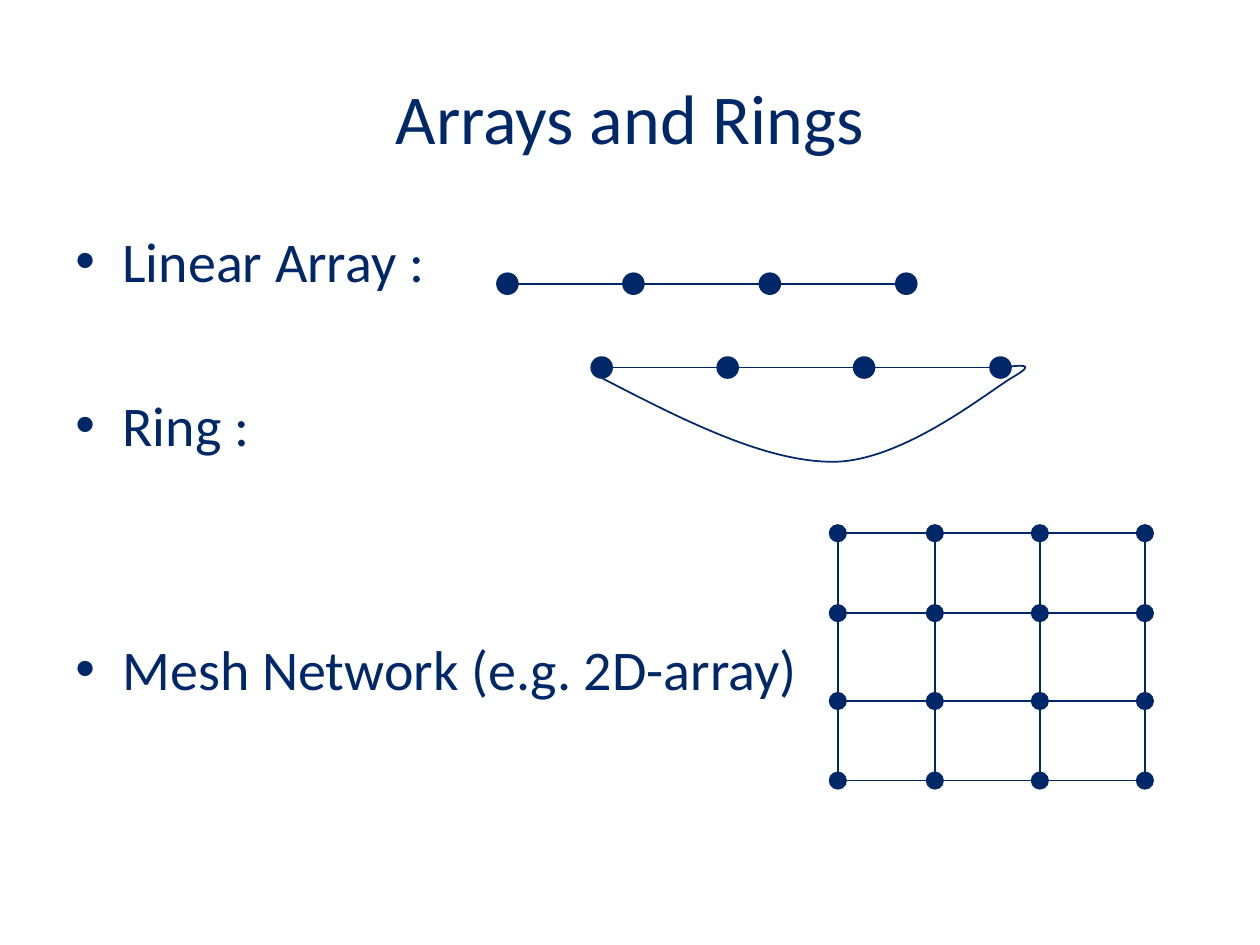
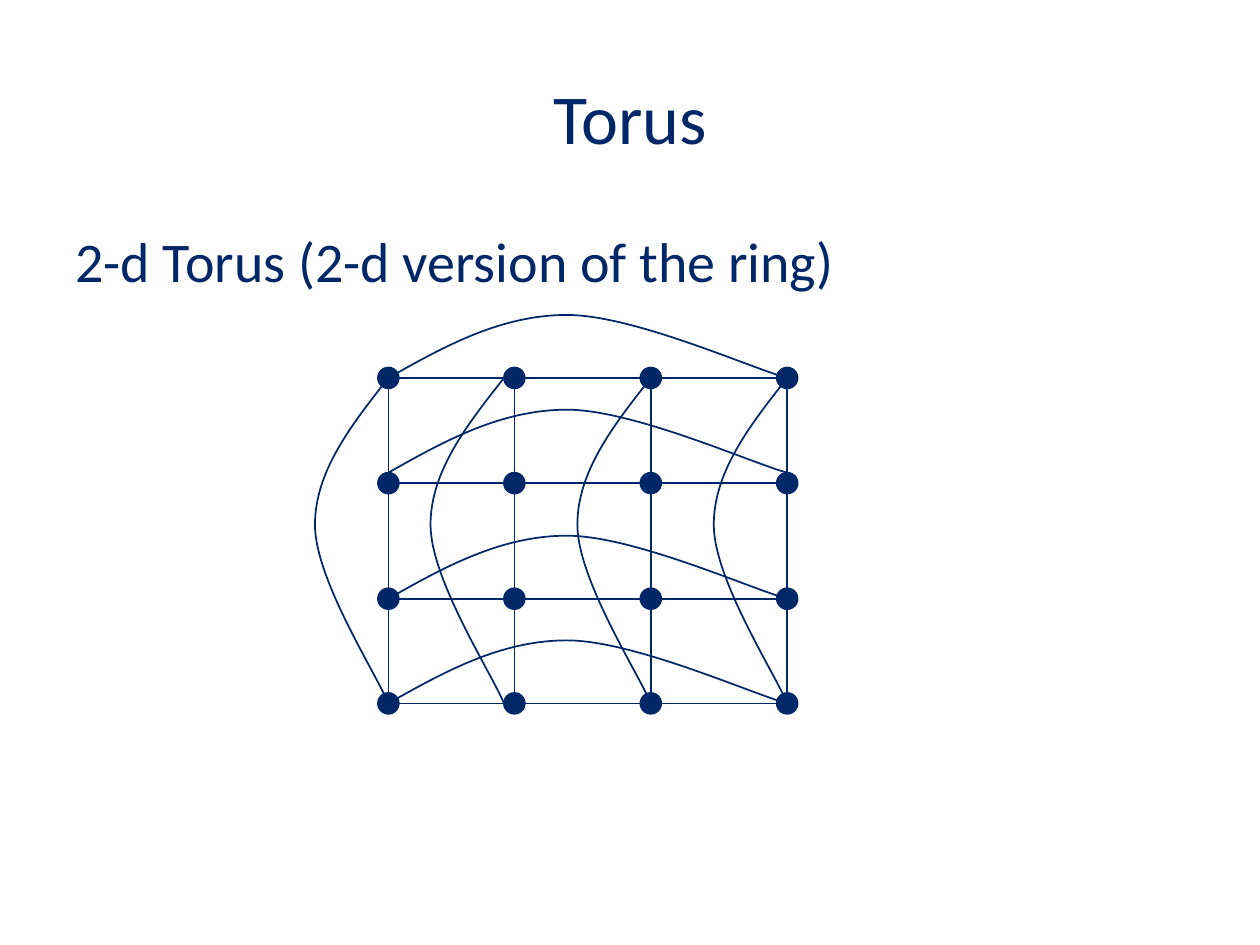
from dataclasses import dataclass

import lxml.etree
import pptx
import pptx.dml.color
import pptx.enum.shapes
import pptx.enum.text
import pptx.oxml.ns
import pptx.util

Cm = pptx.util.Cm
Pt = pptx.util.Pt
qn = pptx.oxml.ns.qn

COLOURS = {"ink": "002868", "paper": "FFFFFF"}
FONT = "Calibri"
LINE_WIDTH = Pt(1)
HANGING_INDENT = Cm(0.95)

# Node spacing shared by all networks, in cm from the first node
COLUMNS = (0, 2.54, 5.29, 8.04)
ROWS = (0, 2.12, 4.45, 6.56)

# Curves as cubic control points, in cm from the start of the curve
RING_LOOP = ((1.64, 0.85), (3.29, 1.69), (4.66, 1.69),
             (6.03, 1.69), (7.71, 0.34), (8.26, 0),
             (8.82, -0.32), (8.44, -0.25), (8.03, -0.21))
COLUMN_WRAP = ((-0.74, 0.94), (-1.48, 1.88), (-1.48, 2.96),
               (-1.48, 4.06), (-0.24, 5.97), (0, 6.56))
ROW_WRAP = ((1.13, -0.64), (2.27, -1.27), (3.6, -1.27),
            (4.94, -1.27), (7.31, -0.2), (8.04, 0))
WRAP_SHIFTS = (0, -0.21, 0, 0)


@dataclass
class Network:
    """A grid of nodes; left and top give the centre of the first node in cm."""
    left: float
    top: float
    rows: tuple = (0,)
    column_scale: float = 1
    row_scale: float = 1
    node_size: float = 0.42

    @property
    def xs(self) -> list[float]:
        return [self.left + x * self.column_scale for x in COLUMNS]

    @property
    def ys(self) -> list[float]:
        return [self.top + y * self.row_scale for y in self.rows]


@dataclass
class Item:
    text: str
    space_before: float = 0
    bullet: str = ""


LINEAR_ARRAY = Network(10.23, 5.72)
RING = Network(12.13, 7.41)
MESH = Network(16.89, 10.75, ROWS, 0.77, 0.76, 0.33)
TORUS = Network(7.83, 7.62, ROWS)


def colour(name: str) -> pptx.dml.color.RGBColor:
    return pptx.dml.color.RGBColor.from_string(COLOURS[name])


def style_line(shape) -> None:
    shape.line.color.rgb = colour("ink")
    shape.line.width = LINE_WIDTH


# Text
def add_text(page, items: list[Item], *, top: float, height: float, size: float,
             align=pptx.enum.text.PP_ALIGN.LEFT,
             anchor=pptx.enum.text.MSO_ANCHOR.TOP) -> None:
    box = page.shapes.add_textbox(Cm(1.27), Cm(top), Cm(22.86), Cm(height))
    frame = box.text_frame
    frame.word_wrap = True
    frame.vertical_anchor = anchor
    for index, item in enumerate(items):
        para = frame.add_paragraph() if index else frame.paragraphs[0]
        if item.bullet:
            properties = para._p.get_or_add_pPr()
            properties.set("marL", str(HANGING_INDENT))
            properties.set("indent", str(-HANGING_INDENT))
            lxml.etree.SubElement(properties, qn("a:buFont"), typeface="Arial")
            lxml.etree.SubElement(properties, qn("a:buChar"), char=item.bullet)
        para.alignment = align
        if index:
            para.space_before = Pt(item.space_before)
        span = para.add_run()
        span.text = item.text
        span.font.name = FONT
        span.font.size = Pt(size)
        span.font.color.rgb = colour("ink")


def add_page(deck, title: str, items: list[Item]):
    page = deck.slides.add_slide(deck.slide_layouts[6])
    page.background.fill.solid()
    page.background.fill.fore_color.rgb = colour("paper")
    add_text(page, [Item(title)], top=0.76, height=3.18, size=40,
             align=pptx.enum.text.PP_ALIGN.CENTER,
             anchor=pptx.enum.text.MSO_ANCHOR.MIDDLE)
    add_text(page, items, top=4.45, height=12.57, size=32)
    return page


# Networks
def add_node(group, x: float, y: float, size: float) -> None:
    node = group.shapes.add_shape(pptx.enum.shapes.MSO_SHAPE.OVAL,
                                  Cm(x - size / 2), Cm(y - size / 2), Cm(size), Cm(size))
    node.shadow.inherit = False
    node.fill.solid()
    node.fill.fore_color.rgb = colour("ink")
    style_line(node)


def add_link(group, start: tuple[float, float], end: tuple[float, float]) -> None:
    link = group.shapes.add_connector(pptx.enum.shapes.MSO_CONNECTOR.STRAIGHT,
                                      *map(Cm, start + end))
    style_line(link)
    lxml.etree.SubElement(link._element.spPr, qn("a:effectLst"))


def add_network(page, network: Network) -> None:
    group = page.shapes.add_group_shape()
    xs, ys = network.xs, network.ys
    radius = network.node_size / 2
    for y in ys:
        for x in xs:
            add_node(group, x, y, network.node_size)
        add_link(group, (xs[0] + radius, y), (xs[-1], y))
    if len(ys) > 1:
        for x in xs:
            add_link(group, (x, ys[0] + radius), (x, ys[-1]))


def add_curve(page, x: float, y: float, controls: tuple) -> None:
    builder = page.shapes.build_freeform(Cm(x), Cm(y))
    builder.add_line_segments([(Cm(x + dx), Cm(y + dy)) for dx, dy in controls],
                              close=False)
    curve = builder.convert_to_shape()
    # Turn each three straight segments into one cubic segment
    segments = list(curve._element.iter(qn("a:lnTo")))
    outline = segments[0].getparent()
    for first in range(0, len(segments), 3):
        cubic = lxml.etree.SubElement(outline, qn("a:cubicBezTo"))
        for segment in segments[first:first + 3]:
            cubic.append(segment[0])
            outline.remove(segment)
    curve.shadow.inherit = False
    curve.fill.background()
    style_line(curve)


# Slides
def add_arrays_and_rings(deck) -> None:
    page = add_page(deck, "Arrays and Rings", [
        Item("Linear Array :", bullet="•"),
        Item("Ring :", space_before=55, bullet="•"),
        Item("Mesh Network (e.g. 2D-array)", space_before=101, bullet="•"),
    ])
    add_network(page, LINEAR_ARRAY)
    add_network(page, RING)
    add_curve(page, RING.left, RING.top + RING.node_size / 2, RING_LOOP)
    add_network(page, MESH)


def add_torus(deck) -> None:
    page = add_page(deck, "Torus", [Item("2-d Torus (2-d version of the ring)")])
    add_network(page, TORUS)
    for x, shift in zip(TORUS.xs, WRAP_SHIFTS):
        add_curve(page, x + shift, TORUS.top, COLUMN_WRAP)
    for y, shift in zip(TORUS.ys, WRAP_SHIFTS):
        add_curve(page, TORUS.left, y + shift, ROW_WRAP)


def main() -> None:
    deck = pptx.Presentation()
    deck.slide_width, deck.slide_height = Cm(25.4), Cm(19.05)
    add_arrays_and_rings(deck)
    add_torus(deck)
    deck.save("out.pptx")


if __name__ == "__main__":
    main()
